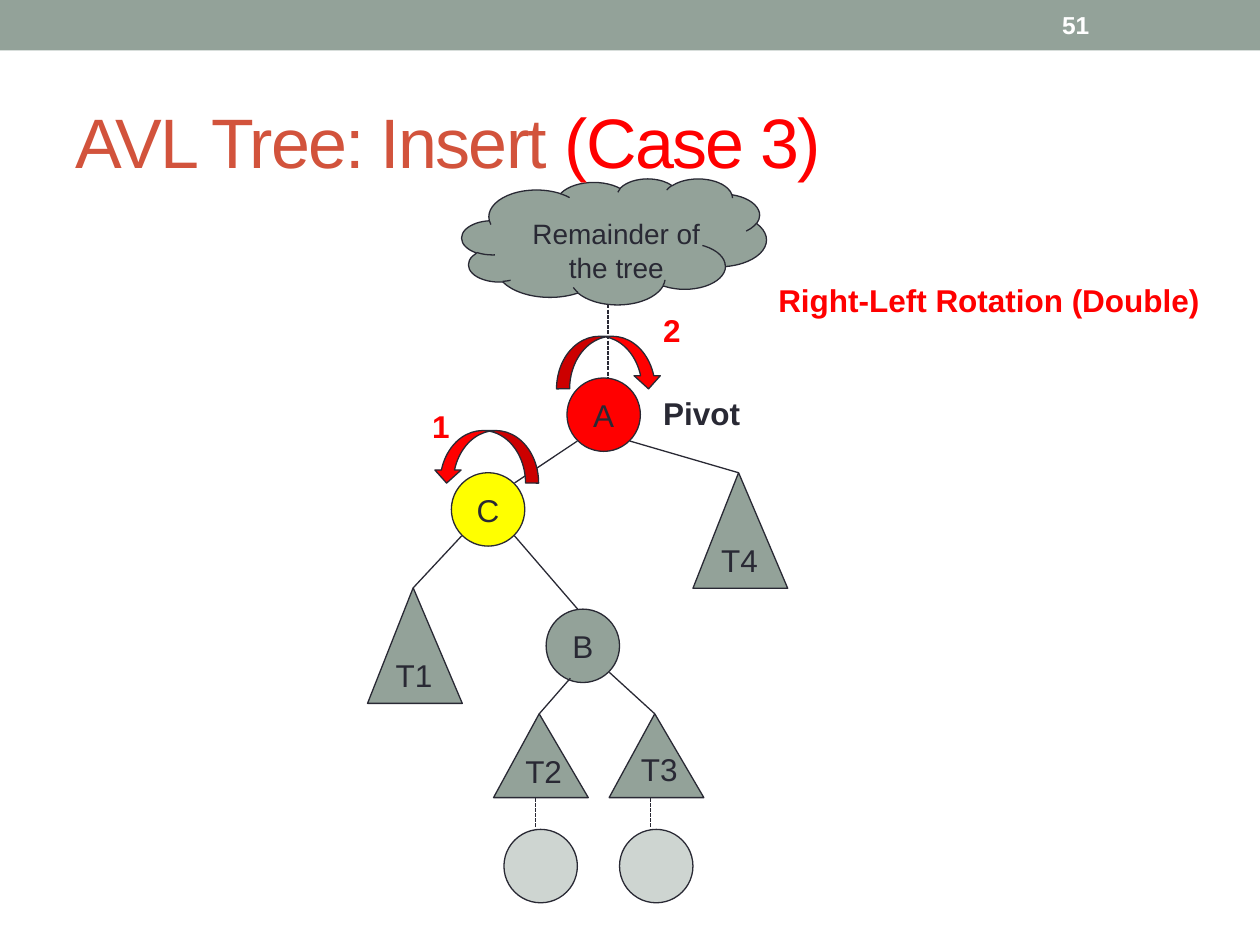
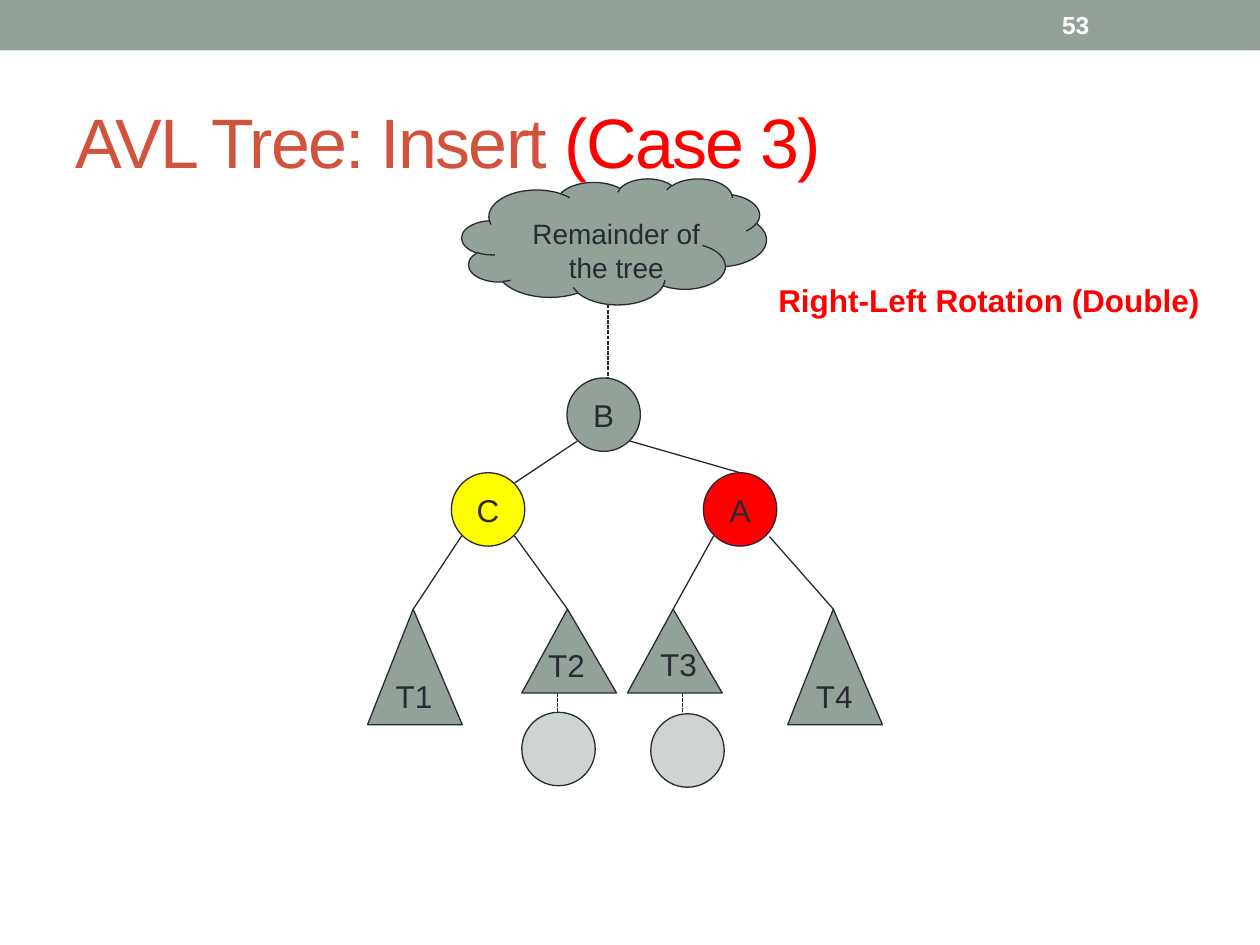
import dataclasses

import pptx
import pptx.dml.color
import pptx.enum.dml
import pptx.enum.shapes
import pptx.enum.text
import pptx.oxml
import pptx.oxml.ns
import pptx.util

Cm = pptx.util.Cm
Pt = pptx.util.Pt
PRESET = pptx.enum.shapes.MSO_SHAPE
ALIGN = pptx.enum.text.PP_ALIGN
ANCHOR = pptx.enum.text.MSO_ANCHOR
AUTO_SIZE = pptx.enum.text.MSO_AUTO_SIZE


@dataclasses.dataclass(frozen=True)
class Theme:
    font: str = "Arial"
    sage: str = "93A299"
    ink: str = "292934"
    rust: str = "D2533C"
    red: str = "FF0000"
    yellow: str = "FFFF00"
    white: str = "FFFFFF"
    title_size: int = 40
    text_size: int = 18
    cloud_size: int = 16
    number_size: int = 14
    line_width: float = 0.75


THEME = Theme()

TITLE = ("AVL Tree: Insert ", "(Case 3)")
CLOUD_TEXT = "Remainder of\nthe tree"
HEADING = ("Right-Left Rotation (Double)", 15.44, 5.54, 9.35, THEME.red, True)
CLOUD_BOX = (9.31, 3.6, 6.14, 2.54)
LABEL_HEIGHT = 1.02
ARROW_SIZE = (2.12, 1.06)
APEX_SHIFT = 0.482

KINDS = {
    "node": (PRESET.OVAL, 1.48, 1.48),
    "inserted": (PRESET.OVAL, 1.48, 1.48),
    "tall": (PRESET.ISOSCELES_TRIANGLE, 1.91, 2.33),
    "short": (PRESET.ISOSCELES_TRIANGLE, 1.91, 1.69),
}
FILLS = {"A": THEME.red, "C": THEME.yellow}

LOWER_LEFT, LOWER_RIGHT, UPPER_RIGHT = (0.14, 0.86), (0.86, 0.86), (0.86, 0.14)
TOP, APEX = (0.5, 0), (APEX_SHIFT, 0)

SLIDES = [
    {
        "number": "51",
        "root": "A",
        "parts": {
            "C": ("node", 9.1, 9.53),
            "A": ("node", 11.43, 7.62),
            "T4": ("tall", 13.97, 9.53),
            "T1": ("tall", 7.41, 11.85),
            "T3": ("short", 12.28, 14.39),
            "B": ("node", 11.01, 12.28),
            "T2": ("short", 9.95, 14.39),
            "under T2": ("inserted", 10.16, 16.72),
            "under T3": ("inserted", 12.49, 16.72),
        },
        "edges": [
            ("A", LOWER_LEFT, "C", UPPER_RIGHT),
            ("A", LOWER_RIGHT, "T4", APEX),
            ("C", LOWER_LEFT, "T1", APEX),
            ("C", LOWER_RIGHT, "B", (0.43, 0)),
            ("B", (0.33, 0.94), "T2", APEX),
            ("B", LOWER_RIGHT, "T3", APEX),
        ],
        "drops": [("T2", 0.44, "under T2"), ("T3", 0.44, "under T3")],
        "arrows": [(11.22, 6.78, False), (8.74, 8.68, True)],
        "labels": [
            ("T2", 10.34, 15.04, 1.3, THEME.ink, False),
            ("T3", 12.67, 14.99, 1.3, THEME.ink, False),
            ("1", 8.46, 8.08, 0.91, THEME.red, True),
            ("2", 13.12, 6.15, 0.91, THEME.red, True),
            ("Pivot", 13.12, 7.82, 2.08, THEME.ink, True),
        ],
    },
    {
        "number": "53",
        "root": "B",
        "parts": {
            "C": ("node", 9.1, 9.53),
            "B": ("node", 11.43, 7.62),
            "T4": ("tall", 15.88, 12.28),
            "T1": ("tall", 7.41, 12.28),
            "T3": ("short", 12.65, 12.28),
            "T2": ("short", 10.52, 12.28),
            "A": ("node", 14.18, 9.53),
            "under T2": ("inserted", 10.52, 14.36),
            "under T3": ("inserted", 13.12, 14.39),
        },
        "edges": [
            ("B", LOWER_LEFT, "C", UPPER_RIGHT),
            ("B", LOWER_RIGHT, "A", TOP),
            ("C", LOWER_LEFT, "T1", APEX),
            ("C", LOWER_RIGHT, "T2", APEX),
            ("A", LOWER_LEFT, "T3", APEX),
            ("A", (0.9, 0.87), "T4", APEX),
        ],
        "drops": [("T2", 0.38, "under T2"), ("T3", 0.58, "under T3")],
        "arrows": [],
        "labels": [
            ("T2", 10.8, 12.9, 1.3, THEME.ink, False),
            ("T3", 13.06, 12.88, 1.3, THEME.ink, False),
        ],
    },
]


def rgb(color):
    return pptx.dml.color.RGBColor.from_string(color)


def format_font(font, size, color, bold=False):
    font.name = THEME.font
    font.size = Pt(size)
    font.bold = bold
    font.color.rgb = rgb(color)


def write(text_frame, text, size, color, bold=False, align=ALIGN.LEFT):
    text_frame.text = text
    for paragraph in text_frame.paragraphs:
        paragraph.alignment = align
        for run in paragraph.runs:
            format_font(run.font, size, color, bold)


def add_text(slide, text, box, size, color, bold=False, align=ALIGN.LEFT,
             wrap=True, anchor=ANCHOR.TOP, auto_size=AUTO_SIZE.SHAPE_TO_FIT_TEXT):
    text_frame = slide.shapes.add_textbox(*map(Cm, box)).text_frame
    text_frame.word_wrap = wrap
    text_frame.vertical_anchor = anchor
    text_frame.auto_size = auto_size
    write(text_frame, text, size, color, bold, align)


def add_label(slide, text, left, top, width, color, bold):
    add_text(slide, text, (left, top, width, LABEL_HEIGHT),
             THEME.text_size, color, bold, wrap=False)


def add_filled(slide, preset, box, fill, outlined=True):
    shape = slide.shapes.add_shape(preset, *map(Cm, box))
    shape.shadow.inherit = False
    shape.fill.solid()
    shape.fill.fore_color.rgb = rgb(fill)
    if outlined:
        shape.line.color.rgb = rgb(THEME.ink)
        shape.line.width = Pt(THEME.line_width)
    else:
        shape.line.fill.background()
    return shape


def add_part(slide, name, kind, left, top):
    preset, width, height = KINDS[kind]
    shape = add_filled(slide, preset, (left, top, width, height),
                       FILLS.get(name, THEME.sage))
    if preset == PRESET.ISOSCELES_TRIANGLE:
        shape.adjustments[0] = APEX_SHIFT
    if kind == "inserted":
        color = shape.element.spPr.find(pptx.oxml.ns.qn("a:solidFill"))[0]
        color.append(pptx.oxml.parse_xml(
            f'<a:alpha {pptx.oxml.ns.nsdecls("a")} val="45000"/>'))
    if kind in ("node", "tall"):
        shape.text_frame.word_wrap = False
        shape.text_frame.vertical_anchor = ANCHOR.MIDDLE
        write(shape.text_frame, name, THEME.text_size, THEME.ink, align=ALIGN.CENTER)
    return shape


def port(shape, fractions):
    across, down = fractions
    return (round(shape.left + across * shape.width),
            round(shape.top + down * shape.height))


def add_line(slide, start, end, dashed=False):
    connector = slide.shapes.add_connector(
        pptx.enum.shapes.MSO_CONNECTOR.STRAIGHT, *start, *end)
    connector.line.color.rgb = rgb(THEME.ink)
    connector.line.width = Pt(THEME.line_width)
    if dashed:
        connector.line.dash_style = pptx.enum.dml.MSO_LINE.SQUARE_DOT
    connector.element.spPr.append(pptx.oxml.parse_xml(
        f'<a:effectLst {pptx.oxml.ns.nsdecls("a")}/>'))


def add_drop(slide, upper, across, lower):
    x, y = port(upper, (across, 1))
    add_line(slide, (x, y), (x, lower.top), dashed=True)


def add_arrow(slide, left, top, flipped):
    arrow = add_filled(slide, PRESET.CURVED_DOWN_ARROW,
                       (left, top, *ARROW_SIZE), THEME.red)
    if flipped:
        arrow.element.spPr.find(pptx.oxml.ns.qn("a:xfrm")).set("flipH", "1")


def format_title(title):
    title.left, title.top, title.width, title.height = map(Cm, (1.27, 1.47, 22.86, 2.74))
    text_frame = title.text_frame
    text_frame.vertical_anchor = ANCHOR.MIDDLE
    text_frame.auto_size = AUTO_SIZE.NONE
    paragraph = text_frame.paragraphs[0]
    paragraph.alignment = ALIGN.LEFT
    for text, color in zip(TITLE, (THEME.rust, THEME.red)):
        run = paragraph.add_run()
        run.text = text
        format_font(run.font, THEME.title_size, color)
        run.font._element.set("spc", "-100")


def add_frame(slide, number):
    add_filled(slide, PRESET.RECTANGLE, (0, 0, 25.4, 1.02), THEME.sage, outlined=False)
    cloud = add_filled(slide, PRESET.CLOUD, CLOUD_BOX, THEME.sage)
    title = slide.shapes.title
    format_title(title)
    cloud.element.addnext(title.element)
    add_text(slide, number, (21.16, 0.05, 2.97, 0.91), THEME.number_size, THEME.white,
             bold=True, anchor=ANCHOR.MIDDLE, auto_size=AUTO_SIZE.NONE)
    add_text(slide, CLOUD_TEXT, (10.24, 4.24, 4.37, 1.63), THEME.cloud_size, THEME.ink,
             align=ALIGN.CENTER)
    add_label(slide, *HEADING)
    return cloud


def build_slide(presentation, content):
    slide = presentation.slides.add_slide(presentation.slide_layouts.get_by_name("Title Only"))
    cloud = add_frame(slide, content["number"])
    parts = {name: add_part(slide, name, *place)
             for name, place in content["parts"].items()}
    add_drop(slide, cloud, 0.48, parts[content["root"]])
    for upper, across, lower in content["drops"]:
        add_drop(slide, parts[upper], across, parts[lower])
    for parent, start, child, end in content["edges"]:
        add_line(slide, port(parts[parent], start), port(parts[child], end))
    for arrow in content["arrows"]:
        add_arrow(slide, *arrow)
    for label in content["labels"]:
        add_label(slide, *label)


def main():
    presentation = pptx.Presentation()
    presentation.slide_width = Cm(25.4)
    presentation.slide_height = Cm(19.05)
    for content in SLIDES:
        build_slide(presentation, content)
    presentation.save("out.pptx")


if __name__ == "__main__":
    main()
